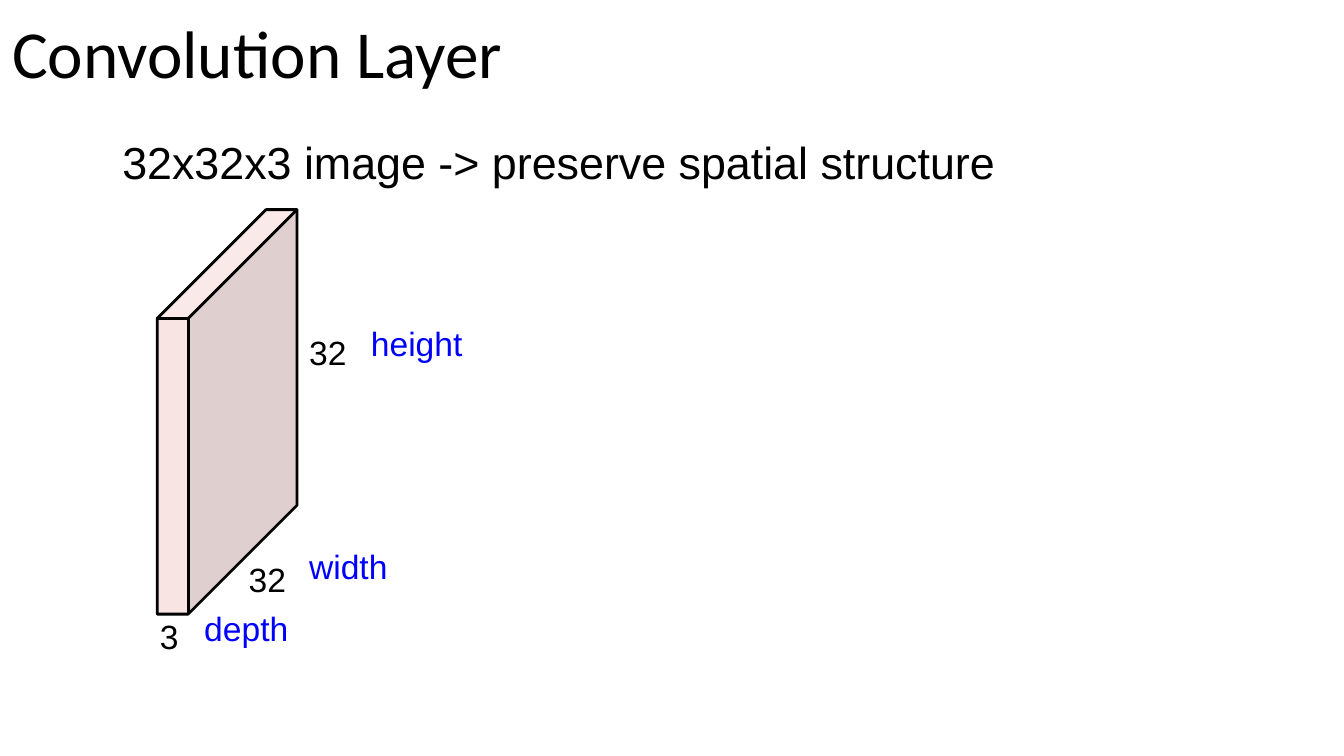
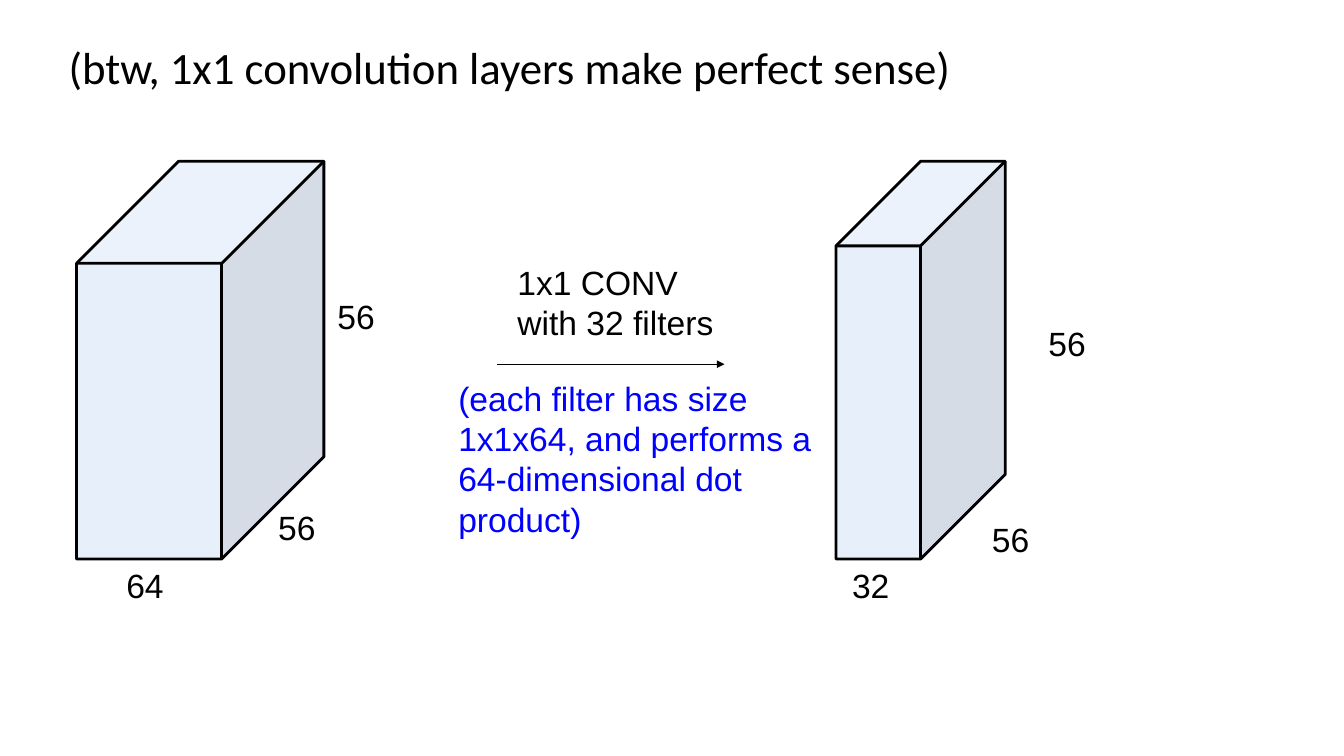
from dataclasses import dataclass
from typing import NamedTuple

from lxml import etree
from pptx import Presentation
from pptx.dml.color import RGBColor
from pptx.enum.shapes import MSO_CONNECTOR
from pptx.enum.text import MSO_ANCHOR, MSO_AUTO_SIZE
from pptx.oxml.ns import qn
from pptx.util import Inches, Pt

WIDE = Inches(10)
HIGH = WIDE * 9 // 16
BLACK = RGBColor(0x00, 0x00, 0x00)
BLUE = RGBColor(0x00, 0x00, 0xFF)
STRAIGHT = MSO_CONNECTOR.STRAIGHT
TOP, MIDDLE = MSO_ANCHOR.TOP, MSO_ANCHOR.MIDDLE
GROW = MSO_AUTO_SIZE.SHAPE_TO_FIT_TEXT


class Point(NamedTuple):
    x: float
    y: float


class Box(NamedTuple):
    left: float
    top: float
    width: float
    height: float = 0.33


class Para(NamedTuple):
    text: str
    color: RGBColor = BLACK
    indent: float = 0
    before: float = 0


class Tint(NamedTuple):
    front: RGBColor
    side: RGBColor
    top: RGBColor
    alpha: int


@dataclass
class Block:
    """Solid with its front face at the lower left, receding at 45 degrees."""
    left: float
    top: float
    width: float
    height: float
    depth: float
    tint: Tint


PINK = Tint(RGBColor(0xF4, 0xCC, 0xCC), RGBColor(0xC3, 0xA3, 0xA3),
            RGBColor(0xF6, 0xD6, 0xD6), 52)
PALE = Tint(RGBColor(0xC8, 0xDA, 0xF7), RGBColor(0xA0, 0xAE, 0xC6),
            RGBColor(0xD3, 0xE1, 0xF9), 43)


def add_text(slide, box: Box, *paras: Para, font: str = "Arial",
             size: float = 18, anchor=TOP, inset: float = 0.01) -> None:
    shape = slide.shapes.add_textbox(*map(Inches, box))
    frame = shape.text_frame
    frame.word_wrap = True
    frame.auto_size = GROW
    frame.vertical_anchor = anchor
    frame.margin_left, frame.margin_top = Inches(0.01), Inches(inset)
    frame.margin_right = frame.margin_bottom = 0
    for i, para in enumerate(paras):
        line = frame.paragraphs[0] if i == 0 else frame.add_paragraph()
        if para.indent:
            line._p.get_or_add_pPr().set("marL", str(Inches(para.indent)))
        if para.before:
            line.space_before = Pt(para.before)
        run = line.add_run()
        run.text = para.text
        run.font.name = font
        run.font.size = Pt(size)
        run.font.color.rgb = para.color


def add_title(slide, box: Box, text: str, size: float) -> None:
    add_text(slide, box, Para(text), font="Calibri", size=size,
             anchor=MIDDLE, inset=0.02)


def add_path(slide, points: list[Point], close: bool = True):
    """Outline without fill; callers change what differs."""
    start, *rest = [(Inches(x), Inches(y)) for x, y in points]
    path = slide.shapes.build_freeform(*start)
    path.add_line_segments(rest, close=close)
    shape = path.convert_to_shape()
    shape.shadow.inherit = False
    shape.fill.background()
    shape.line.color.rgb = BLACK
    shape.line.width = Pt(1.5)
    return shape


def add_face(slide, points: list[Point], color: RGBColor, alpha: int) -> None:
    face = add_path(slide, points)
    face.line.fill.background()
    face.fill.solid()
    face.fill.fore_color.rgb = color
    tone = face._element.spPr.find(qn("a:solidFill"))[0]
    etree.SubElement(tone, qn("a:alpha")).set("val", str(alpha * 1000))


def add_line(slide, start: Point, end: Point, width: float,
             arrow: bool = False) -> None:
    line = slide.shapes.add_connector(STRAIGHT, *map(Inches, start + end))
    line.line.color.rgb = BLACK
    line.line.width = Pt(width)
    if arrow:
        tip = etree.SubElement(line.line._get_or_add_ln(), qn("a:tailEnd"))
        for key, value in (("type", "triangle"), ("w", "sm"), ("len", "sm")):
            tip.set(key, value)
    etree.SubElement(line._element.spPr, qn("a:effectLst"))


def add_block(slide, block: Block) -> None:
    tint = block.tint
    top = block.top + block.depth
    mid = block.left + block.width
    near = [Point(block.left, top), Point(mid, top),
            Point(mid, top + block.height),
            Point(block.left, top + block.height)]
    far = [Point(x + block.depth, y - block.depth) for x, y in near]
    side = [near[2], near[1], far[1], far[2]]
    lid = [near[1], near[0], far[0], far[1]]
    for points, color in ((near, tint.front), (side, tint.side),
                          (lid, tint.top)):
        add_face(slide, points, color, tint.alpha)
    add_path(slide, [near[0], *far[:3], near[2], near[3]])
    add_path(slide, [near[0], near[1], far[1]], close=False)
    add_line(slide, near[1], near[2], 1.5)


def add_sizes(slide, *sizes: tuple[str, float, float]) -> None:
    for text, left, top in sizes:
        add_text(slide, Box(left, top, 0.31), Para(text))


def build_layer(slide) -> None:
    add_block(slide, Block(1.17, 1.56, 0.23, 2.2, 0.81, PINK))
    add_sizes(slide, ("32", 2.29, 2.46), ("3", 1.18, 4.57))
    add_title(slide, Box(0.08, 0.06, 4.06, 0.63), "Convolution Layer", 36)
    add_text(slide, Box(0.9, 0.99, 6.55, 0.43),
             Para("32x32x3 image -> preserve spatial structure"), size=24)
    add_text(slide, Box(2.29, 4.05, 0.61), Para("width", BLUE))
    add_text(slide, Box(2.75, 2.39, 0.71), Para("height", BLUE))
    add_text(slide, Box(1.51, 4.08, 0.65, 0.76), Para("32", indent=0.33),
             Para("depth", BLUE, before=4.8), inset=0.08)


def build_filter(slide) -> None:
    add_title(slide, Box(0.5, 0.27, 7.25, 0.43),
              "(btw, 1x1 convolution layers make perfect sense)", 24)
    add_block(slide, Block(0.57, 1.2, 1.08, 2.2, 0.76, PALE))
    add_sizes(slide, ("64", 0.93, 4.19), ("56", 2.06, 3.76),
              ("56", 2.5, 2.19))
    add_line(slide, Point(3.7, 2.71), Point(5.39, 2.71), 0.75, arrow=True)
    add_text(slide, Box(3.84, 1.94, 1.5, 0.63), Para("1x1 CONV"),
             Para("with 32 filters"))
    add_block(slide, Block(6.22, 1.2, 0.63, 2.33, 0.63, PALE))
    add_sizes(slide, ("32", 6.33, 4.19), ("56", 7.37, 3.85),
              ("56", 7.79, 2.39))
    add_text(slide, Box(3.4, 2.8, 2.65, 1.23),
             Para("(each filter has size 1x1x64, and performs a "
                  "64-dimensional dot product)", BLUE))


def main() -> None:
    deck = Presentation()
    deck.slide_width, deck.slide_height = WIDE, HIGH
    for build in (build_layer, build_filter):
        build(deck.slides.add_slide(deck.slide_layouts[6]))
    deck.save("out.pptx")


if __name__ == "__main__":
    main()
